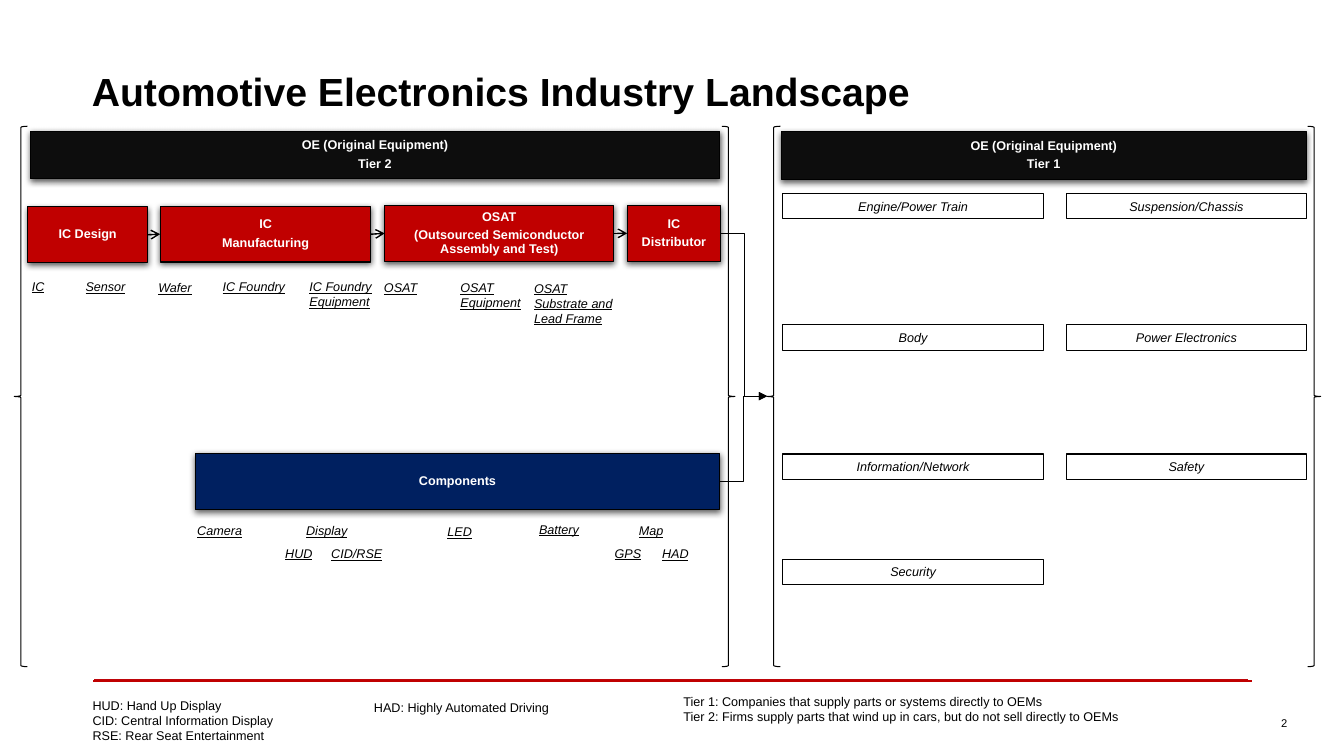
import pptx
import pptx.util
import pptx.dml.color
import pptx.enum.shapes
import pptx.enum.text
import pptx.oxml
import pptx.oxml.ns

Pt = pptx.util.Pt
qn = pptx.oxml.ns.qn
SHAPE = pptx.enum.shapes.MSO_SHAPE
CONN = pptx.enum.shapes.MSO_CONNECTOR
ANCHOR = pptx.enum.text.MSO_ANCHOR
ALIGN = pptx.enum.text.PP_ALIGN
FIT = pptx.enum.text.MSO_AUTO_SIZE


def rgb(value):
    return pptx.dml.color.RGBColor.from_string(value)


def child(parent, tag, **attrs):
    el = parent.makeelement(qn(tag), attrs)
    parent.append(el)
    return el


def apply(obj, formats):
    for name, value in formats.items():
        setattr(obj, name, value)


class Deck:
    font = {"name": "Arial", "size": Pt(9)}
    label_font = {"italic": True, "underline": True}
    tile_frame = {"vertical_anchor": ANCHOR.MIDDLE, "margin_left": Pt(0.75),
                  "margin_right": Pt(0.75), "margin_top": Pt(0.75), "margin_bottom": Pt(0.75)}
    tile_par = {"alignment": ALIGN.CENTER, "line_spacing": 0.9, "space_after": Pt(3.6)}

    def __init__(self, prs):
        self.s = prs.slides.add_slide(prs.slide_layouts[6])

    def fill_text(self, sp, lines, font={}, par={}, frame={}, color="000000"):
        tf = sp.text_frame
        apply(tf, {"word_wrap": True, **frame})
        for i, line in enumerate(lines):
            p = tf.paragraphs[0] if i == 0 else tf.add_paragraph()
            apply(p, par)
            r = p.add_run()
            r.text = line
            apply(r.font, {**self.font, **font})
            r.font.color.rgb = rgb(color)

    def text(self, x, y, w, h, lines, font={}, par={}, frame={"auto_size": FIT.SHAPE_TO_FIT_TEXT}):
        sp = self.s.shapes.add_textbox(Pt(x), Pt(y), Pt(w), Pt(h))
        self.fill_text(sp, lines, font, par, frame)

    def label(self, x, y, w, line):
        self.text(x, y, w, 18, [line], self.label_font)

    def shape(self, kind, x, y, w, h, fill=None):
        sp = self.s.shapes.add_shape(kind, Pt(x), Pt(y), Pt(w), Pt(h))
        sp.shadow.inherit = False
        sp.line.color.rgb = rgb("000000")
        sp.line.width = Pt(0.75)
        if fill:
            sp.fill.solid()
            sp.fill.fore_color.rgb = rgb(fill)
        else:
            sp.fill.background()
        return sp

    def tile(self, x, y, w, h, fill, lines):
        sp = self.shape(SHAPE.RECTANGLE, x, y, w, h, fill)
        effects = sp._element.spPr.find(qn("a:effectLst"))
        shadow = child(effects, "a:outerShdw", blurRad=str(Pt(4.5)), dist=str(Pt(1.5)),
                       dir="5400000", rotWithShape="0")
        child(child(shadow, "a:srgbClr", val="000000"), "a:alpha", val="63000")
        self.fill_text(sp, lines, {"bold": True}, self.tile_par, self.tile_frame, "FFFFFF")

    def box(self, x, y, w, line):
        sp = self.shape(SHAPE.RECTANGLE, x, y, w, 18.2)
        self.fill_text(sp, [line], {"italic": True}, {"alignment": ALIGN.CENTER},
                       {"vertical_anchor": ANCHOR.TOP, "auto_size": FIT.SHAPE_TO_FIT_TEXT})

    def line(self, x1, y1, x2, y2, width, color="000000", tail=None, kind=CONN.STRAIGHT):
        c = self.s.shapes.add_connector(kind, Pt(x1), Pt(y1), Pt(x2), Pt(y2))
        c.line.color.rgb = rgb(color)
        c.line.width = Pt(width)
        spPr = c._element.spPr
        if tail:
            child(spPr.find(qn("a:ln")), "a:tailEnd", type=tail)
        child(spPr, "a:effectLst")


def main():
    prs = pptx.Presentation()
    prs.slide_width, prs.slide_height = Pt(960), Pt(540)
    d = Deck(prs)

    d.line(67.5, 486, 891.5, 486, 1.5, "BE050A")
    d.line(66.5, 486.7, 894, 486.7, 1.5, "C00000")
    d.text(58.5, 50.5, 651.5, 29, ["Automotive Electronics Industry Landscape"],
           {"size": Pt(28), "bold": True}, frame={"vertical_anchor": ANCHOR.MIDDLE})

    for x, y, w, line in [
        (15.7, 195.4, 42.5, "IC"), (54, 195.8, 58.3, "Sensor"), (106, 196.5, 72, "Wafer"),
        (152, 196, 74, "IC Foundry"), (214, 195.8, 86.4, "IC Foundry Equipment"),
        (267.2, 196.5, 75.6, "OSAT"), (321.8, 196.5, 73.5, "OSAT Equipment"),
        (374.4, 196.8, 73.5, "OSAT Substrate and Lead Frame"),
        (133.8, 370, 88.5, "Camera"), (211.6, 370, 88.5, "Display"), (312.5, 370.8, 33.1, "LED"),
        (378, 369, 52, "Battery"), (449.3, 370, 34.6, "Map"),
        (196.6, 386.3, 36.7, "HUD"), (229.5, 386.5, 59, "CID/RSE"),
        (432, 386.3, 34.6, "GPS"), (465.8, 386.5, 34.6, "HAD"),
    ]:
        d.label(x, y, w, line)

    stages = [
        (20, 147.8, 85.2, ["IC Design"]),
        (114.4, 147.4, 150.6, ["IC", "Manufacturing"]),
        (274.8, 146.8, 163.6, ["OSAT", "(Outsourced Semiconductor Assembly and Test)"]),
        (448, 146.8, 66.8, ["IC", "Distributor"]),
    ]
    for x, y, w, lines in stages:
        d.tile(x, y, w, 39.8, "C00000", lines)
    for (x, y, w, _), (next_x, next_y, _, _) in zip(stages, stages[1:]):
        d.line(x + w, y + 19.9, next_x, next_y + 19.9, 1, tail="arrow")

    d.tile(139.4, 323.8, 374.8, 40, "002060", ["Components"])
    for x, y in [(514.8, 166.8), (514.2, 343.8)]:
        d.line(x, y, 548, 283, 0.5, tail="triangle", kind=CONN.ELBOW)

    for x, y, w, tier in [(21.6, 93.7, 492.4, "Tier 2"), (558, 94, 375, "Tier 1")]:
        d.tile(x, y, w, 34, "0D0D0D", ["OE (Original Equipment)", tier])

    columns = [(558.7, 187), (761.7, 171.5)]
    systems = [
        (138.2, ["Engine/Power Train", "Suspension/Chassis"]),
        (232, ["Body", "Power Electronics"]),
        (324.3, ["Information/Network", "Safety"]),
        (399.4, ["Security"]),
    ]
    for y, names in systems:
        for (x, w), name in zip(columns, names):
            d.box(x, y, w, name)

    for left, right in [(10.2, 515.6), (548, 934)]:
        d.shape(SHAPE.LEFT_BRACE, left, 90.2, 9.4, 386)
        d.shape(SHAPE.RIGHT_BRACE, right, 90.2, 9.4, 386)

    d.text(59, 494.9, 144.7, 40, ["HUD: Hand Up Display", "CID: Central Information Display",
                                  "RSE: Rear Seat Entertainment"])
    d.text(260, 496.5, 144.7, 18, ["HAD: Highly Automated Driving"])
    d.text(481, 492, 334, 29, [
        "Tier 1: Companies that supply parts or systems directly to OEMs",
        "Tier 2: Firms supply parts that wind up in cars, but do not sell directly to OEMs"])
    d.text(814.3, 501.8, 112.3, 30, ["2"], {"size": Pt(8)}, {"alignment": ALIGN.RIGHT},
           {"vertical_anchor": ANCHOR.MIDDLE})

    prs.save("out.pptx")


if __name__ == "__main__":
    main()
